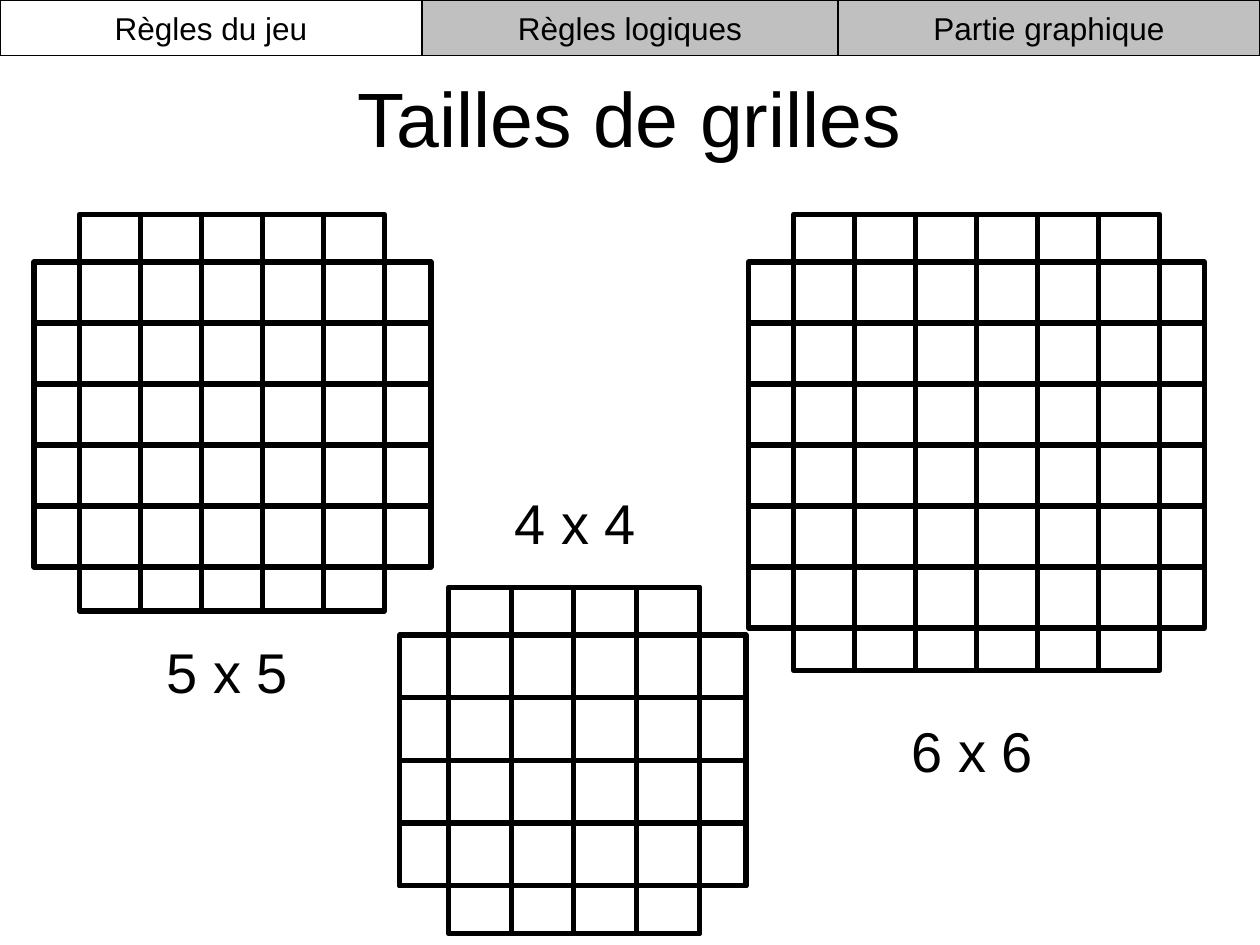
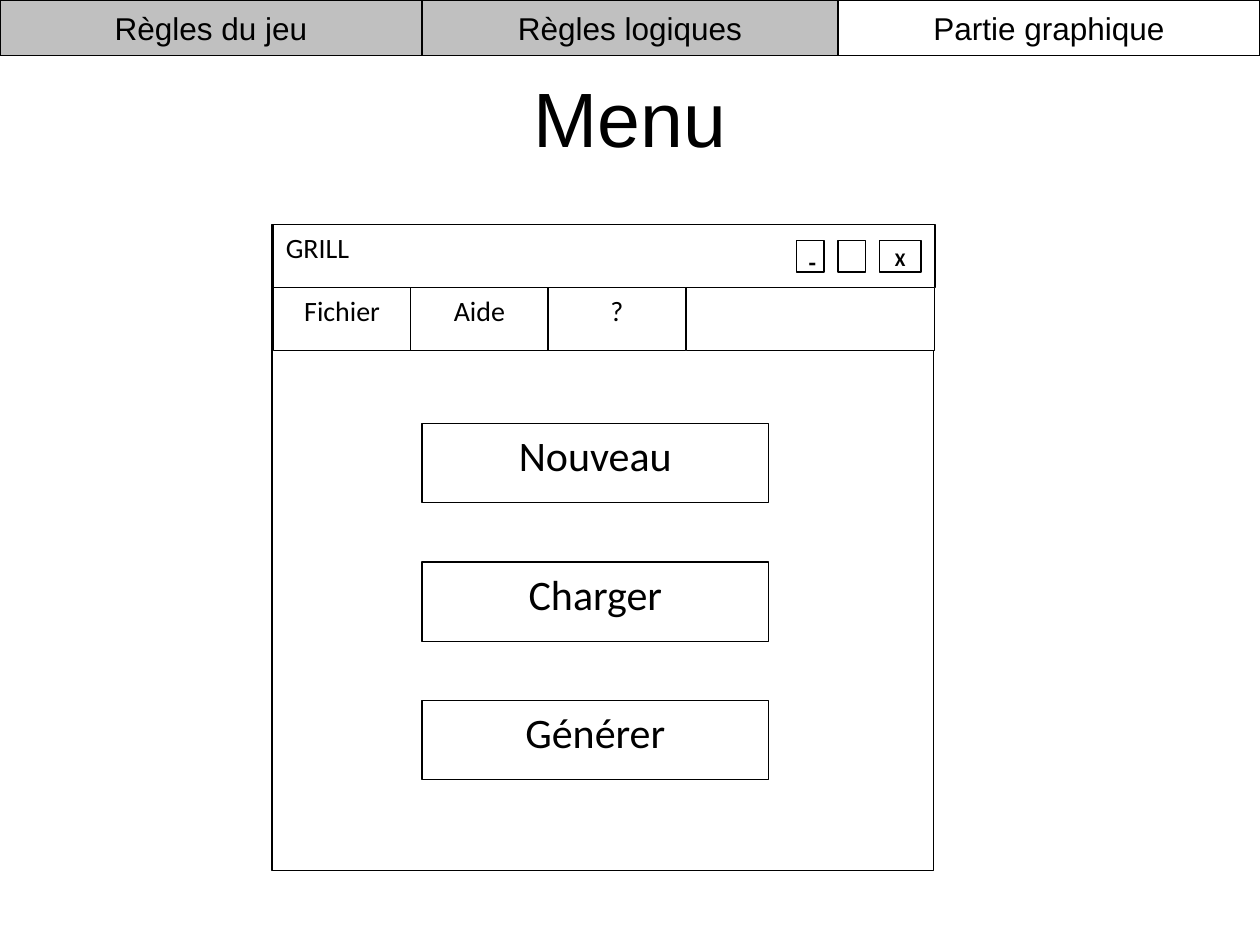
from pptx import Presentation
from pptx.dml.color import RGBColor
from pptx.enum.shapes import MSO_SHAPE
from pptx.enum.text import MSO_ANCHOR, PP_ALIGN
from pptx.util import Inches, Pt

BLACK = RGBColor(0x00, 0x00, 0x00)
WHITE = RGBColor(0xFF, 0xFF, 0xFF)
GREY = RGBColor(0xC0, 0xC0, 0xC0)
TITLE_AREA = (0.5, 0.3, 9, 1.25)
# The middle tab is a full-width band that the outer tabs cover.
TABS = [("Règles logiques", 0, 10), ("Règles du jeu", 0, 3.35), ("Partie graphique", 6.65, 3.35)]


def write(box, text, size, font="Arial", bold=False, align=PP_ALIGN.CENTER,
          anchor=MSO_ANCHOR.TOP, wrap=True):
    frame = box.text_frame
    frame.word_wrap = wrap
    frame.vertical_anchor = anchor
    para = frame.paragraphs[0]
    para.alignment = align
    span = para.add_run()
    span.text = text
    span.font.name = font
    span.font.size = Pt(size)
    span.font.bold = bold
    span.font.color.rgb = BLACK


def add_box(shapes, left, top, width, height, fill=None, line=0.75):
    """Add a black-outlined rectangle, hollow unless a fill is given."""
    box = shapes.add_shape(MSO_SHAPE.RECTANGLE, Inches(left), Inches(top),
                           Inches(width), Inches(height))
    box.shadow.inherit = False
    box.line.color.rgb = BLACK
    box.line.width = Pt(line)
    if fill is None:
        box.fill.background()
    else:
        box.fill.solid()
        box.fill.fore_color.rgb = fill
    return box


deck = Presentation()
deck.slide_width = Inches(10)
deck.slide_height = Inches(7.5)

# Shared frame: title and section tabs
pages = []
for title, active_tab in [("Tailles de grilles", "Règles du jeu"), ("Menu", "Partie graphique")]:
    page = deck.slides.add_slide(deck.slide_layouts[6])
    heading = page.shapes.add_textbox(*map(Inches, TITLE_AREA))
    write(heading, title, 44, anchor=MSO_ANCHOR.MIDDLE)
    for name, left, width in TABS:
        tab = add_box(page.shapes, left, 0, width, 0.44, WHITE if name == active_tab else GREY)
        write(tab, name, 18, anchor=MSO_ANCHOR.MIDDLE, wrap=False)
    pages.append(page)
sizes_page, menu_page = pages

# Grids: crossing frames, each split by strips on every second cell
# cells, frame cells, frame size, reach, columns (left, top), rows (left, top), label (left, top)
GRIDS = [
    (5, 5, 2.42, 3.15, (0.63, 1.7), (0.27, 2.08), (0.98, 5.01)),
    (4, 4, 1.99, 2.75, (3.56, 4.66), (3.17, 5.04), (3.74, 3.83)),
    (6, 5, 2.42, 3.62, (6.3, 1.7), (5.94, 2.08), (6.89, 5.64)),
]
for cells, frame_cells, size, reach, columns, rows, label_at in GRIDS:
    grid = sizes_page.shapes.add_group_shape().shapes
    cell = size / frame_cells
    strips = [(0, size)] + [(index * cell, cell) for index in range(1, cells, 2)]
    for offset, thickness in strips:
        add_box(grid, columns[0] + offset, columns[1], thickness, reach, line=3)
        add_box(grid, rows[0], rows[1] + offset, reach, thickness, line=3)
    label = sizes_page.shapes.add_textbox(*map(Inches, (*label_at, 1.65, 0.64)))
    write(label, f"{cells} x {cells}", 32)

# Menu window
window = menu_page.shapes.add_group_shape().shapes
add_box(window, 2.16, 1.78, 5.25, 5.13)
title_bar = add_box(window, 2.17, 1.78, 5.25, 0.5, WHITE)
write(title_bar, "GRILL", 16, font="Calibri", align=PP_ALIGN.LEFT)

MENU_WIDTH = 1.09
for index, name in enumerate(["Fichier", "Aide", "?"]):
    entry = add_box(window, 2.17 + index * MENU_WIDTH, 2.28, MENU_WIDTH, 0.5, WHITE)
    write(entry, name, 16, font="Calibri")
add_box(window, 5.45, 2.28, 1.97, 0.5, WHITE)

for symbol, left, width, size in [("X", 6.98, 0.33, 11), ("", 6.65, 0.22, 14), ("-", 6.32, 0.22, 14)]:
    control = add_box(window, left, 1.91, width, 0.25, WHITE)
    if symbol:
        write(control, symbol, size, font="Calibri", bold=True)

for index, name in enumerate(["Nouveau", "Charger", "Générer"]):
    button = add_box(window, 3.35, 3.36 + index * 1.1, 2.75, 0.63, WHITE)
    write(button, name, 24, font="Calibri")

deck.save("out.pptx")
